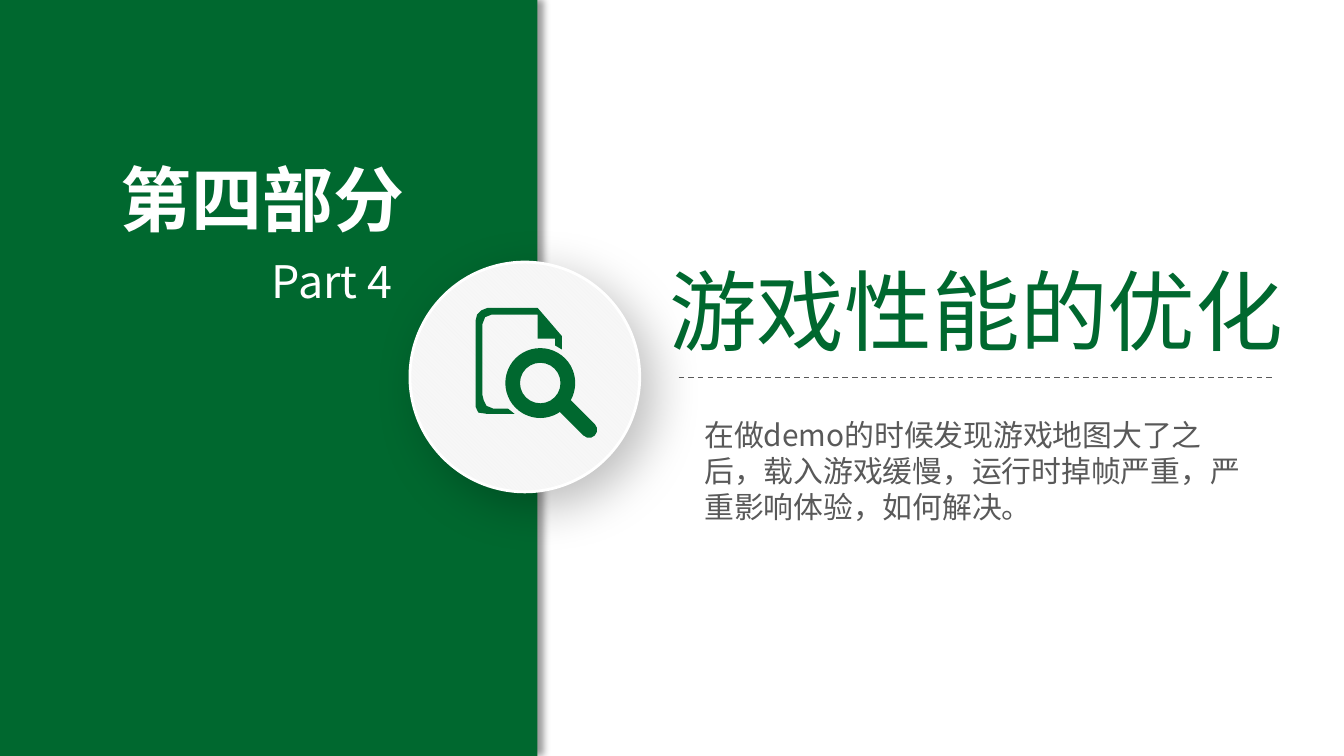
"""Build the section slide for part four, on game performance."""
from lxml import etree
from pptx import Presentation
from pptx.dml.color import RGBColor
from pptx.enum.dml import MSO_LINE, MSO_PATTERN
from pptx.enum.shapes import MSO_CONNECTOR, MSO_SHAPE
from pptx.enum.text import MSO_ANCHOR, MSO_AUTO_SIZE, PP_ALIGN
from pptx.oxml import parse_xml
from pptx.oxml.ns import nsdecls, qn
from pptx.util import Inches, Pt

DASH = MSO_LINE.DASH
DIAGONAL = MSO_PATTERN.DARK_DOWNWARD_DIAGONAL
STRAIGHT = MSO_CONNECTOR.STRAIGHT
RECT, OVAL = MSO_SHAPE.RECTANGLE, MSO_SHAPE.OVAL
DONUT, ROUNDED = MSO_SHAPE.DONUT, MSO_SHAPE.ROUNDED_RECTANGLE
TOP, NO_FIT = MSO_ANCHOR.TOP, MSO_AUTO_SIZE.NONE
LEFT, CENTER, RIGHT = PP_ALIGN.LEFT, PP_ALIGN.CENTER, PP_ALIGN.RIGHT

FONT = "Noto Sans CJK SC"
GREEN = RGBColor(0x00, 0x68, 0x2F)
GRAY = RGBColor(0x59, 0x59, 0x59)
PALE = RGBColor(0xF3, 0xF3, 0xF3)
LIGHT = RGBColor(0xF7, 0xF7, 0xF7)
WHITE = RGBColor(0xFF, 0xFF, 0xFF)


def write(s, box, text, size, color, align, margins, bold=False):
    s.left, s.top, s.width, s.height = [Inches(v) for v in box]
    tf = s.text_frame
    tf.word_wrap = True
    tf.auto_size = NO_FIT
    tf.vertical_anchor = TOP
    tf.margin_left = tf.margin_right = Inches(margins[0])
    tf.margin_top = tf.margin_bottom = Inches(margins[1])
    p = tf.paragraphs[0]
    p.alignment = align
    p.space_before = Pt(0)
    p.line_spacing = Pt(size * 1.2)
    p._p.get_or_add_pPr().set("hangingPunct", "0")
    r = p.add_run()
    r.text = text
    r.font.name = FONT
    r.font.size = Pt(size)
    r.font.bold = bold
    r.font.color.rgb = color
    etree.SubElement(r.font._element, qn("a:ea"), typeface=FONT)


def add_shadow(s, alpha, blur, distance, angle):
    s.shadow.inherit = False
    s._element.spPr.find(qn("a:effectLst")).append(parse_xml(
        f'<a:outerShdw {nsdecls("a")} blurRad="{Pt(blur)}" dist="{Pt(distance)}" '
        f'dir="{angle * 60000}" algn="ctr" rotWithShape="0"><a:srgbClr val="000000">'
        f'<a:alpha val="{alpha * 1000}"/></a:srgbClr></a:outerShdw>'))


prs = Presentation()
prs.slide_width, prs.slide_height = Inches(10), Inches(10 * 9 / 16)
slide = prs.slides.add_slide(prs.slide_layouts[2])
shapes = slide.shapes

panel = shapes.add_shape(RECT, 0, 0, Inches(4), prs.slide_height)
panel.fill.solid()
panel.fill.fore_color.rgb = GREEN
panel.line.fill.background()
add_shadow(panel, 40, 4, 3, 0)

disc = shapes.add_shape(OVAL, Inches(3.05), Inches(1.95), Inches(1.71), Inches(1.71))
disc.fill.patterned()
disc.fill.pattern = DIAGONAL
disc.fill.fore_color.rgb = PALE
disc.fill.back_color.rgb = LIGHT
disc.line.color.rgb = WHITE
disc.line.width = Pt(1.5)
add_shadow(disc, 25, 27, 10, 45)

page_points = [
    (367, 304), (362, 302), (360, 298), (359, 294), (359, 241),
    (361, 236), (366, 234), (400, 234), (400, 252), (413, 252),
    (413, 257), (418, 260), (418, 250), (400, 229), (363, 229),
    (358, 231), (355, 234), (354, 238), (354, 303), (356, 307),
    (363, 308), (383, 308), (378, 304),
]
builder = shapes.build_freeform(*page_points[0], scale=Inches(0.01))
builder.add_line_segments(page_points[1:], close=True)
page = builder.convert_to_shape()
lens = shapes.add_shape(DONUT, Inches(3.76), Inches(2.59), Inches(0.52), Inches(0.52))
lens.adjustments[0] = 0.21
handle = shapes.add_shape(ROUNDED, Inches(4.11), Inches(3.05), Inches(0.37), Inches(0.12))
handle.adjustments[0] = 0.5
handle.rotation = 45
for s in (page, lens, handle):
    s.shadow.inherit = False
    s.fill.solid()
    s.fill.fore_color.rgb = GREEN
    s.line.fill.background()

rule = shapes.add_connector(STRAIGHT, Inches(5.05), Inches(2.81), Inches(9.47), Inches(2.81))
rule.line.color.rgb = GRAY
rule.line.width = Pt(0.75)
rule.line.dash_style = DASH
etree.SubElement(rule._element.spPr, qn("a:effectLst"))

title, body = slide.placeholders
part = shapes.add_textbox(0, 0, 0, 0)
number = shapes.add_textbox(0, 0, 0, 0)
write(title, (4.83, 1.87, 4.87, 0.87), "游戏性能的优化", 47, GREEN, CENTER, (0.08, 0.04))
write(body, (5.14, 3.05, 4.34, 0.91),
      "在做demo的时候发现游戏地图大了之后，载入游戏缓慢，运行时掉帧严重，严重影响体验，如何解决。",
      16, GRAY, LEFT, (0.1, 0.05))
write(part, (1.04, 1.85, 1.95, 0.48), "Part 4", 24, WHITE, RIGHT, (0.07, 0.04))
write(number, (0.8, 1.12, 2.31, 0.72), "第四部分", 38, WHITE, CENTER, (0.07, 0.04), True)

prs.save("out.pptx")
